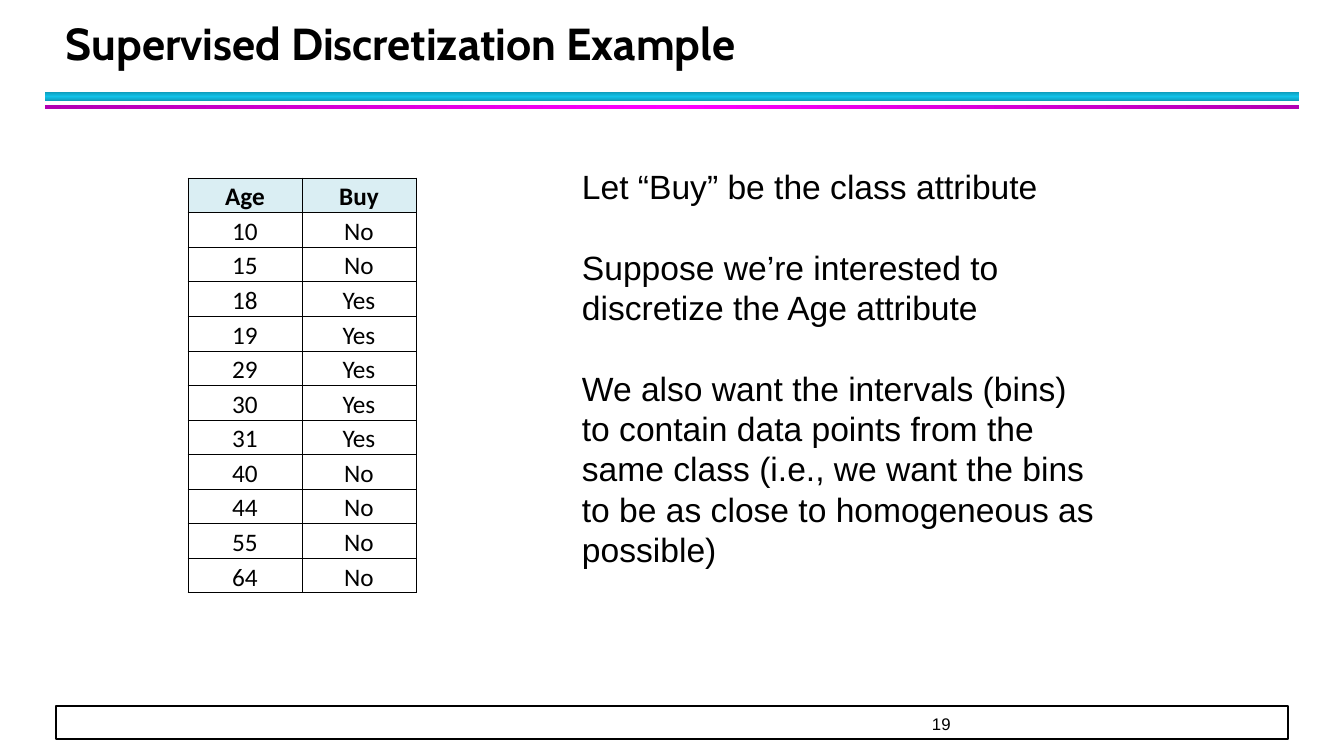
import lxml.etree
import pptx
import pptx.dml.color
import pptx.enum.shapes
import pptx.enum.text
import pptx.oxml.ns
import pptx.util

COLORS = {
    "ink": "000000", "paper": "FFFFFF", "header": "DAEEF3",
    "teal": "0E9BBA", "cyan": "12C2E9", "purple": "B200B2", "magenta": "FF00FF",
}
TITLE = "Supervised Discretization Example"
NUMBER = "19"
PURCHASES = [
    ("Age", "Buy"), ("10", "No"), ("15", "No"), ("18", "Yes"),
    ("19", "Yes"), ("29", "Yes"), ("30", "Yes"), ("31", "Yes"),
    ("40", "No"), ("44", "No"), ("55", "No"), ("64", "No"),
]
REMARKS = [
    "Let “Buy” be the class attribute",
    "Suppose we’re interested to discretize the Age attribute",
    "We also want the intervals (bins) to contain data points from the same class "
    "(i.e., we want the bins to be as close to homogeneous as possible)",
]
RULES = [
    ((45, 92, 1254, 9), ("teal", "cyan", "teal"), 90),
    ((45, 105, 1254, 4), ("purple", "magenta", "purple"), 0),
]
FOOTER = (56, 706, 1232, 33)
NUMBER_BOX = (56, 706, 1230, 28)
TITLE_BOX = (56, 17, 1217, 58)
TABLE_BOX = (188, 178, 228, 415)
REMARKS_BOX = (572, 159, 537, 417)
REMARK_LINE = 28.8

Pt = pptx.util.Pt
ANCHOR = pptx.enum.text.MSO_ANCHOR
RECTANGLE = pptx.enum.shapes.MSO_SHAPE.RECTANGLE
qn = pptx.oxml.ns.qn


def px(length):
    return round(length * 914400 / 100.8)


def place(bounds):
    return [px(length) for length in bounds]


def color(name):
    return pptx.dml.color.RGBColor.from_string(COLORS[name])


def write(para, text, size, font, bold=False):
    span = para.add_run()
    span.text = text
    span.font.size = Pt(size)
    span.font.name = font
    span.font.bold = bold
    span.font.color.rgb = color("ink")


def add_rectangle(page, bounds):
    shape = page.shapes.add_shape(RECTANGLE, *place(bounds))
    shape.shadow.inherit = False
    return shape


def add_rule(page, bounds, names, angle):
    rule = add_rectangle(page, bounds)
    rule.line.fill.background()
    rule.fill.gradient()
    rule.fill.gradient_angle = angle
    stops = next(rule._element.iter(qn("a:gsLst")))
    for stop in list(stops):
        stops.remove(stop)
    for index, name in enumerate(names):
        stop = lxml.etree.SubElement(stops, qn("a:gs"), pos=str(index * 50000))
        lxml.etree.SubElement(stop, qn("a:srgbClr"), val=COLORS[name])


def add_box(page, bounds, margins, anchor):
    frame = page.shapes.add_textbox(*place(bounds)).text_frame
    frame.word_wrap = True
    frame.vertical_anchor = anchor
    frame.margin_left, frame.margin_top, frame.margin_right, frame.margin_bottom = place(margins)
    return frame


def add_borders(cell):
    properties = cell._tc.get_or_add_tcPr()
    for index, side in enumerate(("a:lnL", "a:lnR", "a:lnT", "a:lnB")):
        border = lxml.etree.Element(qn(side), w=str(Pt(0.5)))
        fill = lxml.etree.SubElement(border, qn("a:solidFill"))
        lxml.etree.SubElement(fill, qn("a:srgbClr"), val=COLORS["ink"])
        properties.insert(index, border)


def add_purchases(page):
    rows, columns = len(PURCHASES), len(PURCHASES[0])
    table = page.shapes.add_table(rows, columns, *place(TABLE_BOX)).table
    table.first_row = table.horz_banding = False
    for column in table.columns:
        column.width = px(TABLE_BOX[2] / columns)
    for index, values in enumerate(PURCHASES):
        table.rows[index].height = px(TABLE_BOX[3] / rows)
        for cell, value in zip(table.rows[index].cells, values):
            cell.margin_left = cell.margin_top = cell.margin_right = px(1)
            cell.margin_bottom = 0
            cell.vertical_anchor = ANCHOR.BOTTOM
            if index == 0:
                cell.fill.solid()
                cell.fill.fore_color.rgb = color("header")
            else:
                cell.fill.background()
            add_borders(cell)
            para = cell.text_frame.paragraphs[0]
            para.alignment = pptx.enum.text.PP_ALIGN.CENTER
            write(para, value, 18, "Calibri", index == 0)


def main():
    deck = pptx.Presentation()
    deck.slide_width, deck.slide_height = px(1344), px(756)
    page = deck.slides.add_slide(deck.slide_layouts[6])

    footer = add_rectangle(page, FOOTER)
    footer.fill.solid()
    footer.fill.fore_color.rgb = color("paper")
    footer.line.color.rgb = color("ink")
    footer.line.width = Pt(1)
    para = add_box(page, NUMBER_BOX, (876, 0, 0, 0), ANCHOR.BOTTOM).paragraphs[0]
    para.line_spacing = Pt(20)
    write(para, NUMBER, 12, "Arial")

    for bounds, names, angle in RULES:
        add_rule(page, bounds, names, angle)

    para = add_box(page, TITLE_BOX, (10, 5, 10, 5), ANCHOR.BOTTOM).paragraphs[0]
    para.line_spacing = Pt(36)
    write(para, TITLE, 32, "Cabin", True)

    add_purchases(page)

    frame = add_box(page, REMARKS_BOX, (10, 7, 10, 5), ANCHOR.TOP)
    for index, remark in enumerate(REMARKS):
        para = frame.add_paragraph() if index else frame.paragraphs[0]
        para.line_spacing = Pt(REMARK_LINE)
        para.space_before = Pt(REMARK_LINE if index else 0)
        write(para, remark, 24, "Arial")

    deck.save("out.pptx")


if __name__ == "__main__":
    main()
